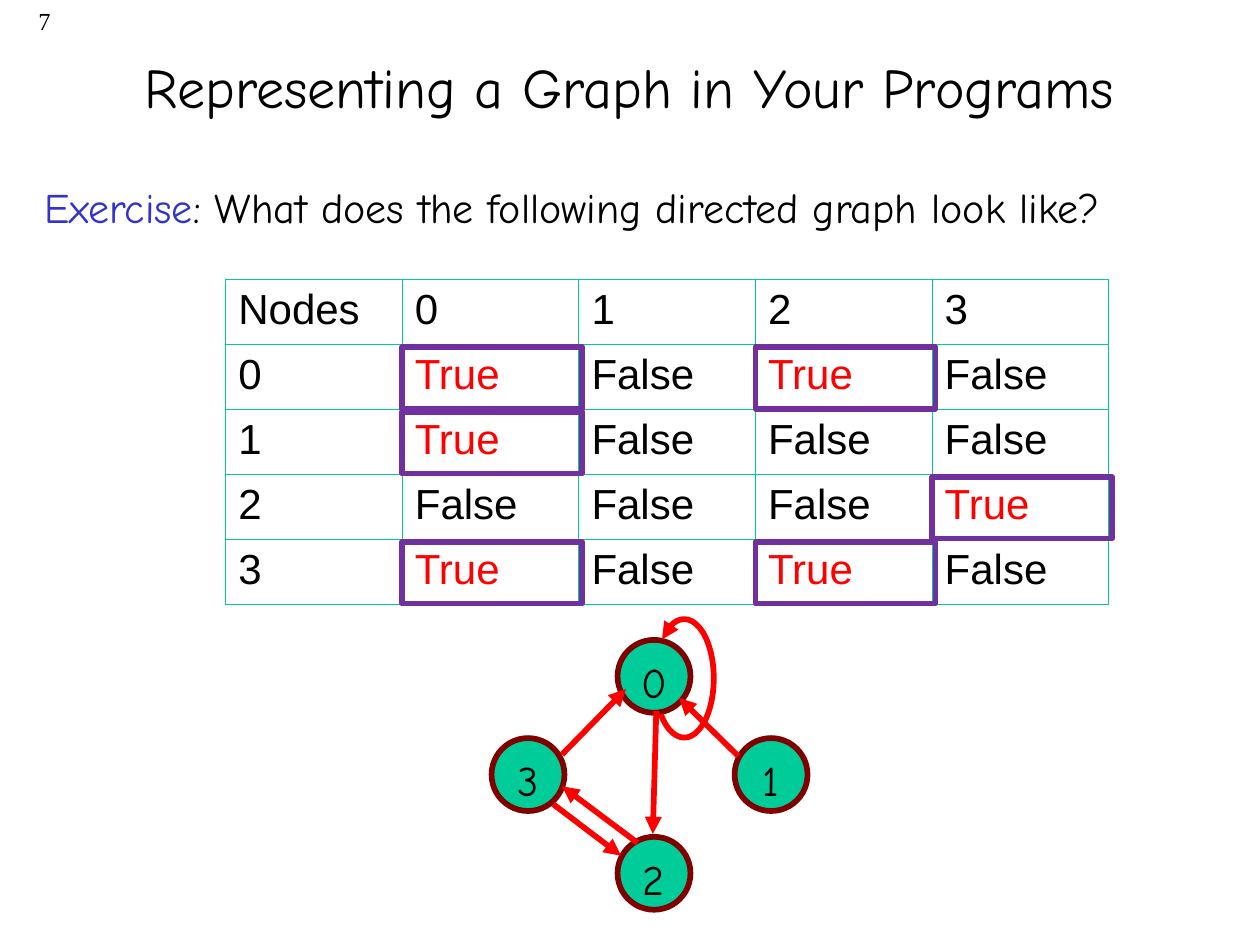
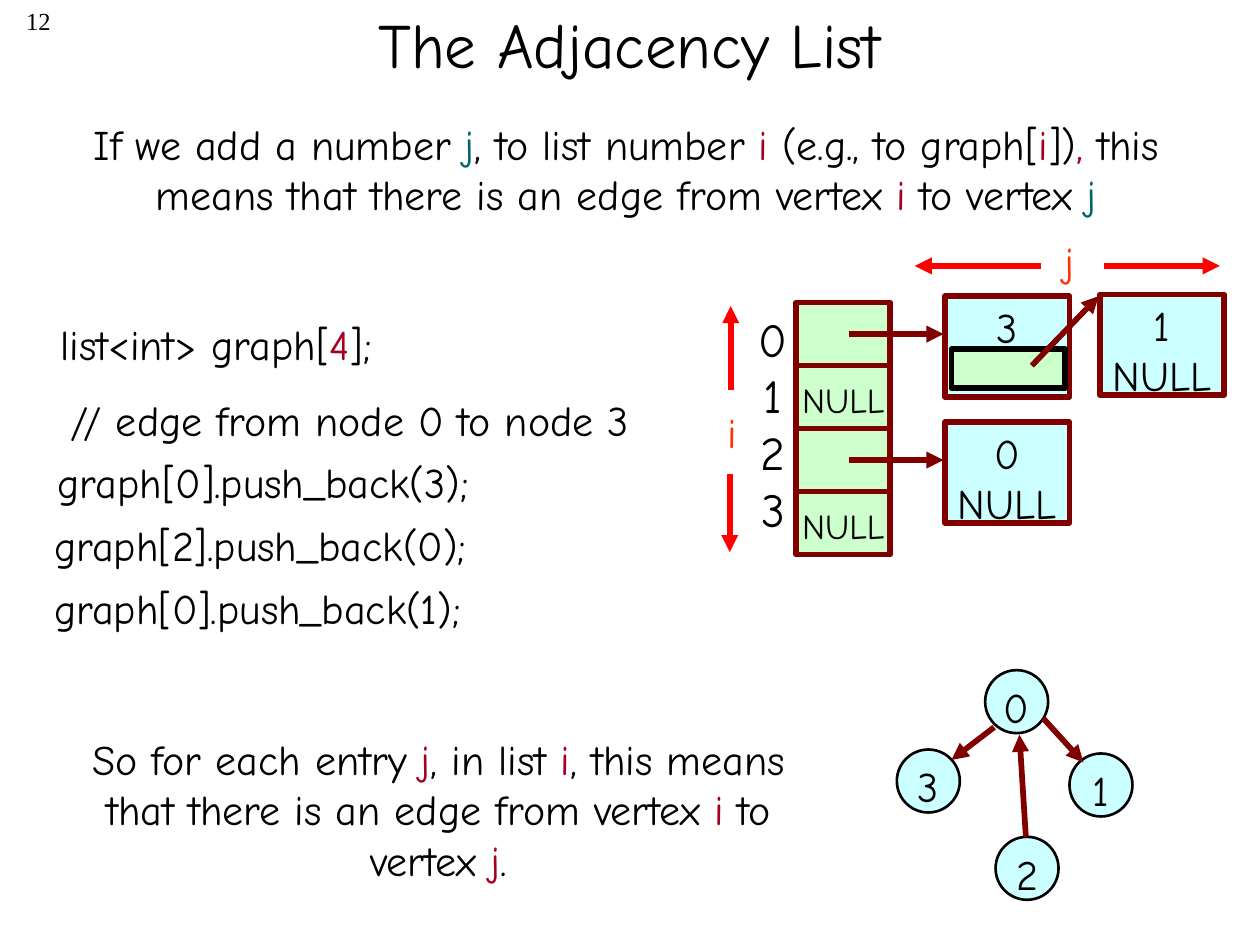
from dataclasses import dataclass

from lxml.etree import SubElement
from pptx import Presentation
from pptx.dml.color import RGBColor
from pptx.enum.shapes import MSO_CONNECTOR as Connector, MSO_SHAPE as Preset
from pptx.enum.text import MSO_ANCHOR as Anchor, MSO_AUTO_SIZE as AutoSize, PP_ALIGN as Align
from pptx.oxml.ns import qn
from pptx.util import Cm, Pt


@dataclass(frozen=True)
class Theme:
    hand: str = "Comic Neue"
    sans: str = "Arial"
    serif: str = "Times New Roman"
    body: int = 24
    small: int = 20
    index: int = 27
    number: int = 14
    black: str = "000000"
    blue: str = "3333CC"
    red: str = "FF0000"
    orange: str = "FF3300"
    crimson: str = "A50021"
    teal: str = "006666"
    green: str = "00CC99"
    mint: str = "CCFFCC"
    ice: str = "CCFFFF"
    maroon: str = "800000"
    purple: str = "7030A0"
    heavy: float = 3.25
    thin: float = 1.5
    hairline: float = 0.75


THEME = Theme()


# --- Text ---
def style_span(span, size, color, font):
    span.font.name = font
    span.font.size = Pt(size)
    span.font.color.rgb = RGBColor.from_string(color)


def write_text(frame, text, size=THEME.body, color=THEME.black, font=THEME.hand, align=Align.LEFT):
    """Text is a string, or a list of (words, color) for one mixed paragraph."""
    if isinstance(text, str):
        frame.text = text
    else:
        for words, _ in text:
            frame.paragraphs[0].add_run().text = words
    for para in frame.paragraphs:
        para.alignment = align
        for place, span in enumerate(para.runs):
            style_span(span, size, color if isinstance(text, str) else text[place][1], font)


def add_text(page, left, top, width, text, height=1.27, fit=True, **style):
    box = page.shapes.add_textbox(Cm(left), Cm(top), Cm(width), Cm(height))
    frame = box.text_frame
    frame.word_wrap = True
    write_text(frame, text, **style)
    frame.auto_size = AutoSize.SHAPE_TO_FIT_TEXT if fit else AutoSize.NONE
    return box


# --- Shapes and arrows ---
def add_shape(page, preset, left, top, width, height, fill, line, weight=THEME.heavy):
    shape = page.shapes.add_shape(preset, Cm(left), Cm(top), Cm(width), Cm(height))
    shape.shadow.inherit = False
    if fill:
        shape.fill.solid()
        shape.fill.fore_color.rgb = RGBColor.from_string(fill)
    else:
        shape.fill.background()
    shape.line.color.rgb = RGBColor.from_string(line)
    shape.line.width = Pt(weight)
    return shape


def label_shape(shape, text, size=THEME.body, top_margin=0.1, anchor=Anchor.MIDDLE):
    frame = shape.text_frame
    frame.margin_left = frame.margin_right = frame.margin_bottom = 0
    frame.margin_top = Cm(top_margin)
    frame.vertical_anchor = anchor
    write_text(frame, text, size=size, align=Align.CENTER)


def add_vertices(page, places, diameter, fill, line, weight):
    for name, (left, top) in places.items():
        circle = add_shape(page, Preset.OVAL, left, top, diameter, diameter, fill, line, weight)
        label_shape(circle, name, top_margin=0.2)


def add_arrowhead(shape, end):
    outline = shape._element.spPr.find(qn("a:ln"))
    SubElement(outline, qn(f"a:{end}End"), type="triangle")


def add_arrow(page, start, finish, color):
    points = [Cm(value) for value in (*start, *finish)]
    arrow = page.shapes.add_connector(Connector.STRAIGHT, *points)
    arrow.line.color.rgb = RGBColor.from_string(color)
    arrow.line.width = Pt(THEME.heavy)
    add_arrowhead(arrow, "tail")
    SubElement(arrow._element.spPr, qn("a:effectLst"))


# --- Adjacency matrix ---
def border_cell(cell):
    properties = cell._tc.get_or_add_tcPr()
    for side in ("lnL", "lnR", "lnT", "lnB"):
        line = SubElement(properties, qn(f"a:{side}"), w=str(int(Pt(THEME.hairline))))
        SubElement(SubElement(line, qn("a:solidFill")), qn("a:srgbClr"), val=THEME.green)


def add_matrix(page, edges, size, left, top, column_width, row_height):
    count = size + 1
    table = page.shapes.add_table(count, count, Cm(left), Cm(top), Cm(column_width * count),
                                  Cm(row_height * count)).table
    table.first_row = table.horz_banding = False
    for column in table.columns:
        column.width = Cm(column_width)
    for row in table.rows:
        row.height = Cm(row_height)
    header = ["Nodes"] + [str(node) for node in range(size)]
    for row in range(count):
        for column in range(count):
            linked = (row - 1, column - 1) in edges
            if row and column:
                text = str(linked)
            else:
                text = header[row + column]
            cell = table.cell(row, column)
            write_text(cell.text_frame, text, font=THEME.sans,
                       color=THEME.red if linked else THEME.black)
            border_cell(cell)
            cell.fill.background()
    # Frames around the true entries
    for source, target in edges:
        add_shape(page, Preset.RECTANGLE, left + (target + 1) * column_width,
                  top + (source + 1) * row_height + 0.05, 3.63, 1.24, None, THEME.purple)


# --- Pages ---
def add_page(deck, number, title, size, top, bottom_margin=0.13):
    page = deck.slides.add_slide(deck.slide_layouts[6])
    add_text(page, -4.01, 0, 5.28, str(number), fit=False, size=THEME.number,
             font=THEME.serif, align=Align.RIGHT)
    heading = add_text(page, 1.9, top, 21.59, title, height=3.18, fit=False,
                       size=size, align=Align.CENTER)
    heading.text_frame.vertical_anchor = Anchor.MIDDLE
    heading.text_frame.margin_bottom = Cm(bottom_margin)
    return page


def build_matrix_page(deck):
    page = add_page(deck, 7, "Representing a Graph in Your Programs", 32, 0.79, 1.43)
    add_text(page, 0.64, 3.53, 24.38, [
        ("Exercise", THEME.blue),
        (": What does the following directed graph look like? ", THEME.black)])
    edges = [(0, 0), (0, 2), (1, 0), (2, 3), (3, 0), (3, 2)]
    add_matrix(page, edges, 4, 4.55, 5.64, 3.56, 1.31)

    # Directed graph
    places = {"3": (9.91, 14.88), "0": (12.45, 12.9), "1": (14.81, 14.88), "2": (12.45, 16.87)}
    add_vertices(page, places, 1.47, THEME.green, THEME.maroon, THEME.heavy)
    loop = add_shape(page, Preset.ARC, 12.6, 13.08, 2.39, 1.19, None, THEME.red)
    loop.rotation = 270
    loop.adjustments[0], loop.adjustments[1] = 198.2, 127.98
    add_arrowhead(loop, "head")
    for start, finish in [
        ((13.23, 14.33), (13.16, 16.81)),
        ((14.88, 15.24), (13.69, 14.07)),
        ((12.85, 16.99), (11.33, 15.85)),
        ((11.33, 15.21), (12.62, 13.89)),
        ((11.15, 16.21), (12.52, 17.25)),
    ]:
        add_arrow(page, start, finish, THEME.red)


def add_list_node(page, left, top, text):
    node = add_shape(page, Preset.RECTANGLE, left, top, 2.51, 2.03, THEME.ice, THEME.maroon)
    label_shape(node, text, anchor=Anchor.TOP)


def add_list_diagram(page):
    left, top, width, height = 16.05, 6.1, 1.9, 1.27
    # Array of list heads
    for row in range(4):
        head = add_shape(page, Preset.RECTANGLE, left, top + row * height, width, height,
                         THEME.mint, THEME.maroon)
        if row in (1, 3):
            label_shape(head, "NULL", size=THEME.small)
    add_text(page, 15.04, 6.12, 1.09, "0\n1\n2\n3", height=4.83, size=THEME.index,
             align=Align.CENTER)
    # Linked entries
    for row, text in ((0, "3"), (2, "0\nNULL")):
        middle = top + (row + 0.5) * height
        add_arrow(page, (17.12, middle), (19.02, middle), THEME.maroon)
        add_list_node(page, 19.05, middle - 0.76, text)
    add_shape(page, Preset.RECTANGLE, 19.18, 7.04, 2.29, 0.79, THEME.mint, THEME.black)
    add_arrow(page, (20.8, 7.37), (22.15, 5.97), THEME.maroon)
    add_list_node(page, 22.17, 5.94, "1\nNULL")
    # Axes i and j
    for name, x, y, span in (("i", 14.38, 8.08, 0.76), ("j", 21.13, 4.62, 0.86)):
        add_text(page, x, y, span, name, color=THEME.orange, align=Align.CENTER)
    for start, finish in [
        ((14.73, 7.87), (14.73, 6.17)),
        ((14.71, 9.55), (14.71, 11.13)),
        ((22.25, 5.36), (24.59, 5.36)),
        ((20.98, 5.36), (18.44, 5.36)),
    ]:
        add_arrow(page, start, finish, THEME.red)


def build_list_page(deck):
    black, crimson, teal = THEME.black, THEME.crimson, THEME.teal
    page = add_page(deck, 12, "The Adjacency List", 36, -0.71)
    add_text(page, 0.84, 2.26, 23.57, [
        ("If we add a number ", black), ("j", teal), (", to list number ", black),
        ("i ", crimson), ("(e.g., to graph[", black), ("i", crimson), ("])", black),
        (", ", crimson), ("this means that there is an edge from vertex ", black),
        ("i", crimson), (" to vertex ", black), ("j", teal)],
        height=2.31, align=Align.CENTER)

    # Code
    add_text(page, 0.97, 6.3, 7.47, [
        ("list<int> graph[", black), ("4", crimson), ("];", black)])
    add_text(page, 1.17, 7.82, 12.52, "// edge from node 0 to node 3")
    calls = [(0.91, "graph[0].push_back(3);"), (0.84, "graph[2].push_back(0);"),
             (0.84, "graph[0].push_back(1);")]
    for step, (left, call) in enumerate(calls):
        add_text(page, left, 9.07 + step * 1.27, 9.65, call)

    add_list_diagram(page)

    # Graph
    places = {"0": (19.86, 13.51), "1": (21.56, 15.19), "3": (18.08, 15.11), "2": (20.07, 16.87)}
    add_vertices(page, places, 1.27, THEME.ice, THEME.black, THEME.thin)
    for start, finish in [
        ((20.04, 14.66), (19.18, 15.32)),
        ((20.68, 16.87), (20.55, 14.81)),
        ((21.03, 14.48), (21.84, 15.37)),
    ]:
        add_arrow(page, start, finish, THEME.maroon)

    add_text(page, 1.45, 14.66, 14.78, [
        ("So for each entry ", black), ("j", crimson), (", in list ", black), ("i", crimson),
        (", this means that there is an edge from vertex ", black), ("i ", crimson),
        ("to vertex ", black), ("j", crimson), (".", black)],
        height=3.3, align=Align.CENTER)


def main():
    deck = Presentation()
    deck.slide_width, deck.slide_height = Cm(25.4), Cm(19.05)
    build_matrix_page(deck)
    build_list_page(deck)
    deck.save("out.pptx")


main()
